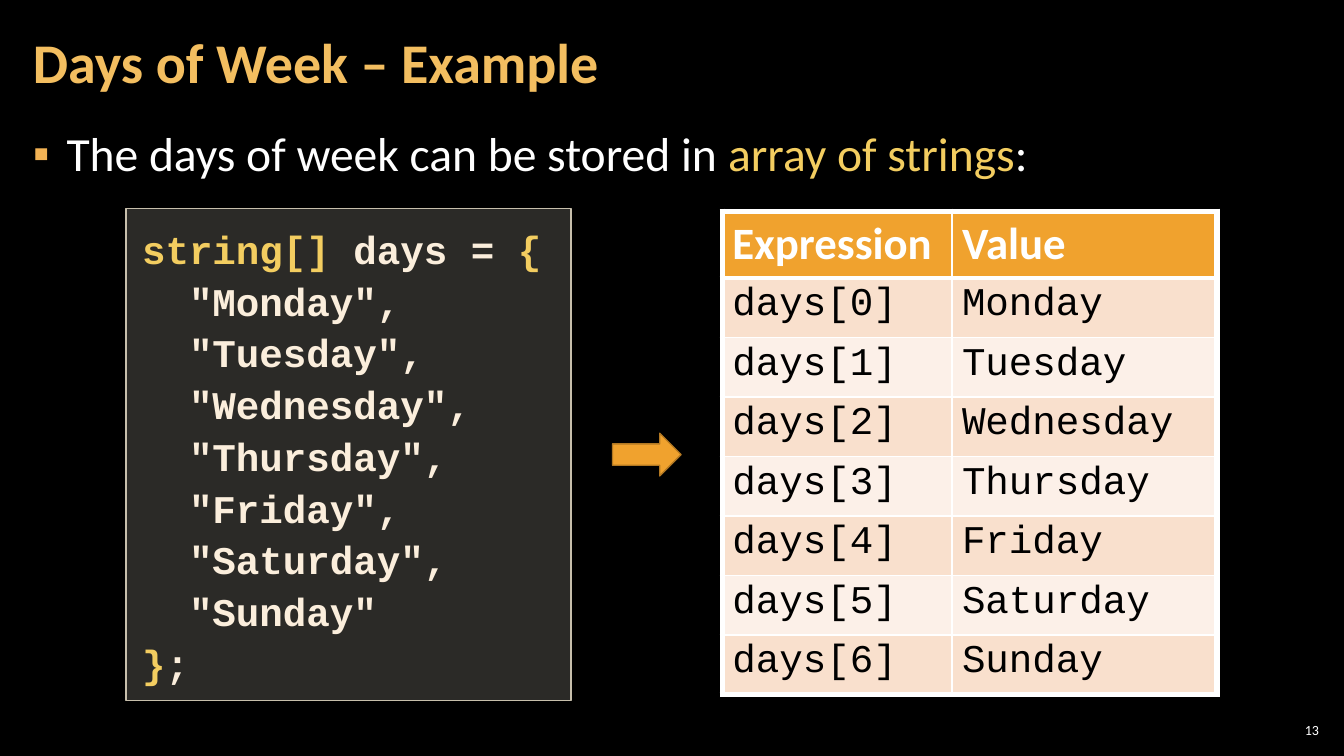
from lxml import etree
from pptx import Presentation
from pptx.dml.color import RGBColor
from pptx.enum import shapes, text
from pptx.oxml import ns
from pptx.util import Pt


class Theme:
    back, white, black = "000000", "FFFFFF", "000000"
    title, bullet, gold, cream = "F3BE60", "F2B254", "F3CD60", "FBEEDC"
    panel, edge = "D9D5C7", "C7BFAC"
    accent, rim = "F0A22E", "B27822"
    bands = ["FCF0E8", "F9E0CD"]
    sans, mono = "Calibri", "Courier New"
    head, body, cell, code, note = 40, 34, 32, 28, 10


def write(par, runs, size, font, bold=False):
    for words, color in runs:
        run = par.add_run()
        run.text = words
        run.font.size, run.font.name, run.font.bold = Pt(size), font, bold
        run.font.color.rgb = RGBColor.from_string(color)


def setup(shape, box, pad, anchor=text.MSO_ANCHOR.TOP):
    shape.left, shape.top, shape.width, shape.height = map(Pt, box)
    frame = shape.text_frame
    frame.word_wrap, frame.auto_size = True, text.MSO_AUTO_SIZE.NONE
    frame.vertical_anchor = anchor
    frame.margin_left = frame.margin_right = Pt(pad[0])
    frame.margin_top = frame.margin_bottom = Pt(pad[1])
    return frame.paragraphs[0]


# Slide
deck = Presentation()
deck.slide_width, deck.slide_height = Pt(960), Pt(540)
slide = deck.slides.add_slide(deck.slide_layouts[1])
slide.background.fill.solid()
slide.background.fill.fore_color.rgb = RGBColor.from_string(Theme.back)
items = slide.shapes

# Title
par = setup(items.title, (15, 3, 754, 87), (8.5, 2.8), text.MSO_ANCHOR.MIDDLE)
par.alignment, par.line_spacing = text.PP_ALIGN.LEFT, 0.9
write(par, [("Days of Week – Example", Theme.title)], Theme.head, Theme.sans, True)

# Bullet
par = setup(slide.placeholders[1], (15, 84, 929.5, 438.5), (8.5, 2.8))
props = par._p.get_or_add_pPr()
props.set("marL", str(Pt(24)))
props.set("indent", str(Pt(-24)))
tint = etree.SubElement(props, ns.qn("a:buClr"))
etree.SubElement(tint, ns.qn("a:srgbClr"), val=Theme.bullet)
etree.SubElement(props, ns.qn("a:buChar"), char="▪")
par.line_spacing, par.space_before, par.space_after = 1.05, Pt(0), Pt(6)
write(par, [("The days of week can be stored in ", Theme.white),
            ("array of strings", Theme.gold), (":", Theme.white)],
      Theme.body, Theme.sans)

# Code panel
days = ["Monday", "Tuesday", "Wednesday", "Thursday", "Friday", "Saturday", "Sunday"]
lines = [[("string[] ", Theme.gold), ("days = ", Theme.cream), ("{", Theme.gold)]]
for day in days:
    comma = "" if day == days[-1] else ","
    lines.append([(f'  "{day}"{comma}', Theme.cream)])
lines.append([("}", Theme.gold), (";", Theme.cream)])

panel = items.add_shape(shapes.MSO_SHAPE.RECTANGLE, 0, 0, 0, 0)
panel.shadow.inherit = False
panel.fill.solid()
panel.fill.fore_color.rgb = RGBColor.from_string(Theme.panel)
shade = panel._element.spPr.find(".//" + ns.qn("a:srgbClr"))
etree.SubElement(shade, ns.qn("a:alpha"), val="20000")
panel.line.color.rgb = RGBColor.from_string(Theme.edge)
panel.line.width = Pt(1)
par = setup(panel, (90, 149, 318, 351.5), (11.5, 8.5))
for row, line in enumerate(lines):
    if row:
        par = panel.text_frame.add_paragraph()
    par.alignment, par.line_spacing = text.PP_ALIGN.LEFT, 1.1
    write(par, line, Theme.code, Theme.mono, True)

# Table of values
rows = [("Expression", "Value")]
rows += [(f"days[{i}]", day) for i, day in enumerate(days)]
last = len(rows) - 1
grid = items.add_table(len(rows), 2, Pt(516), Pt(151), Pt(353.5), Pt(347.5)).table
grid.columns[0].width, grid.columns[1].width = Pt(164), Pt(189.5)
for r, row in enumerate(rows):
    grid.rows[r].height = Pt(42.8 if r == 0 else 42.8 - 0.27)
    for c, words in enumerate(row):
        cell = grid.cell(r, c)
        par = cell.text_frame.paragraphs[0]
        if r == 0:
            fill = Theme.accent
            write(par, [(words, Theme.white)], Theme.cell, Theme.sans, True)
        else:
            fill = Theme.bands[r % 2]
            write(par, [(words, Theme.black)], Theme.code, Theme.mono)
        # Thick outer frame, thin inner rules
        edges = {"a:lnL": 4.5 if c == 0 else 1,
                 "a:lnR": 4.5 if c == 1 else 1,
                 "a:lnT": 4.5 if r == 0 else 3 if r == 1 else 1,
                 "a:lnB": 4.5 if r == last else 3 if r == 0 else 1}
        props = cell._tc.get_or_add_tcPr()
        for tag, width in edges.items():
            edge = etree.SubElement(props, ns.qn(tag), w=str(Pt(width)))
            solid = etree.SubElement(edge, ns.qn("a:solidFill"))
            etree.SubElement(solid, ns.qn("a:srgbClr"), val=Theme.white)
        cell.fill.solid()
        cell.fill.fore_color.rgb = RGBColor.from_string(fill)
grid.rows[0].height = Pt(47.5)

# Arrow from code to table
arrow = items.add_shape(shapes.MSO_SHAPE.RIGHT_ARROW, Pt(437.5), Pt(309.5), Pt(49), Pt(30.5))
arrow.shadow.inherit = False
arrow.fill.solid()
arrow.fill.fore_color.rgb = RGBColor.from_string(Theme.accent)
arrow.line.color.rgb = RGBColor.from_string(Theme.rim)
arrow.line.width = Pt(1)

# Slide number
par = setup(items.add_textbox(0, 0, 0, 0), (911, 514, 34, 15), (2.8, 2.8),
            text.MSO_ANCHOR.MIDDLE)
par.alignment = text.PP_ALIGN.RIGHT
write(par, [("13", Theme.white)], Theme.note, Theme.sans)

deck.save("out.pptx")
